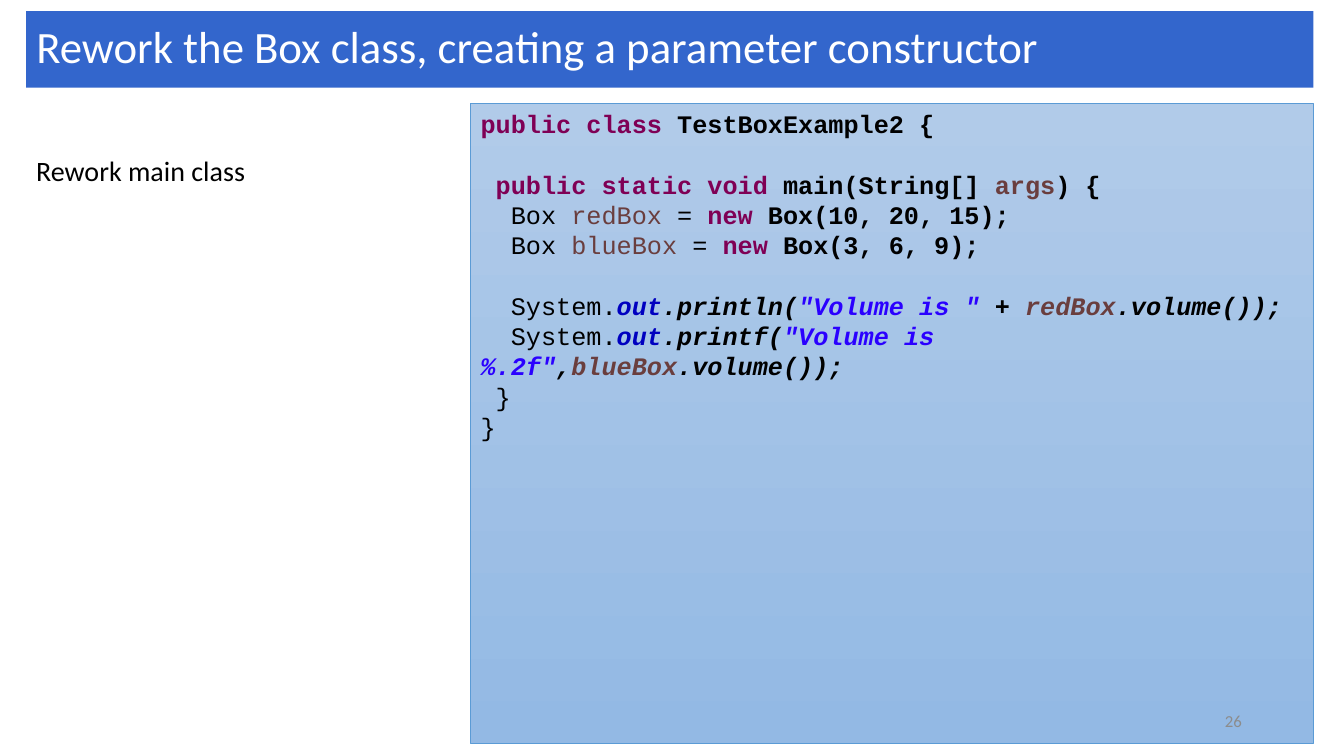
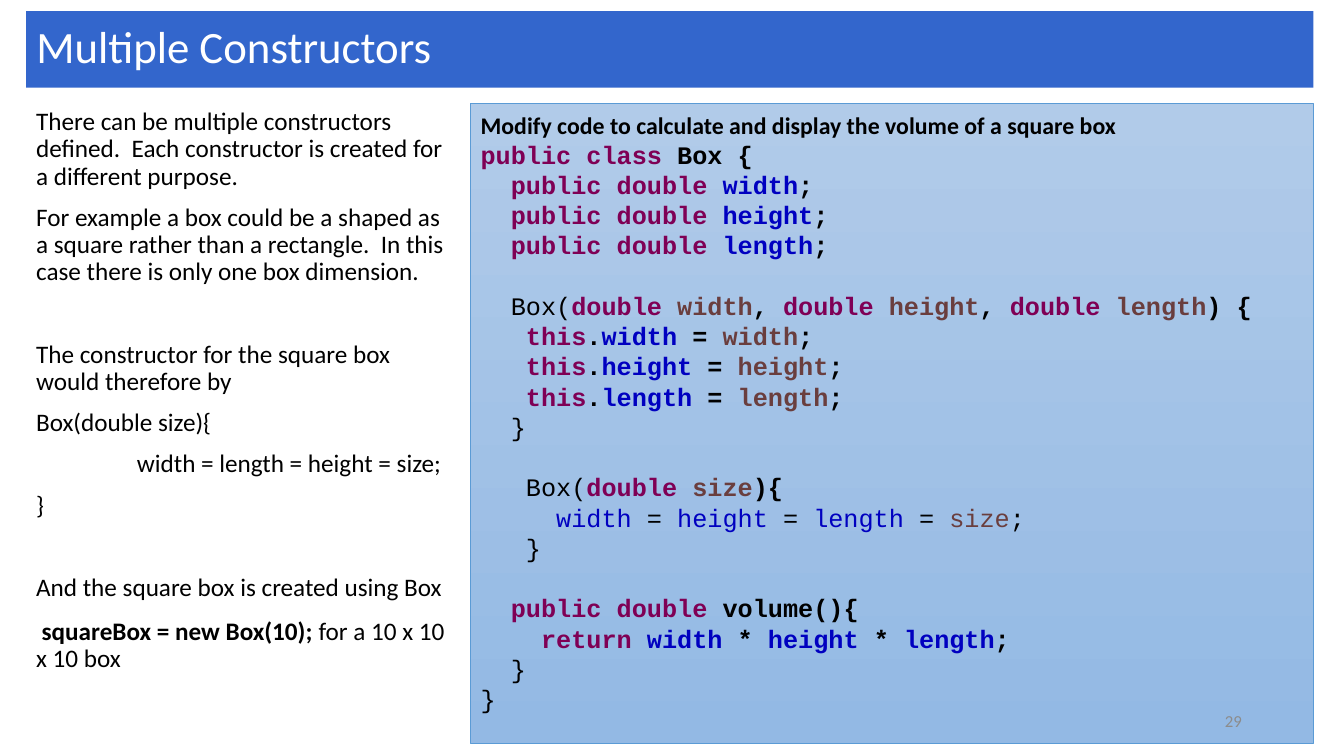
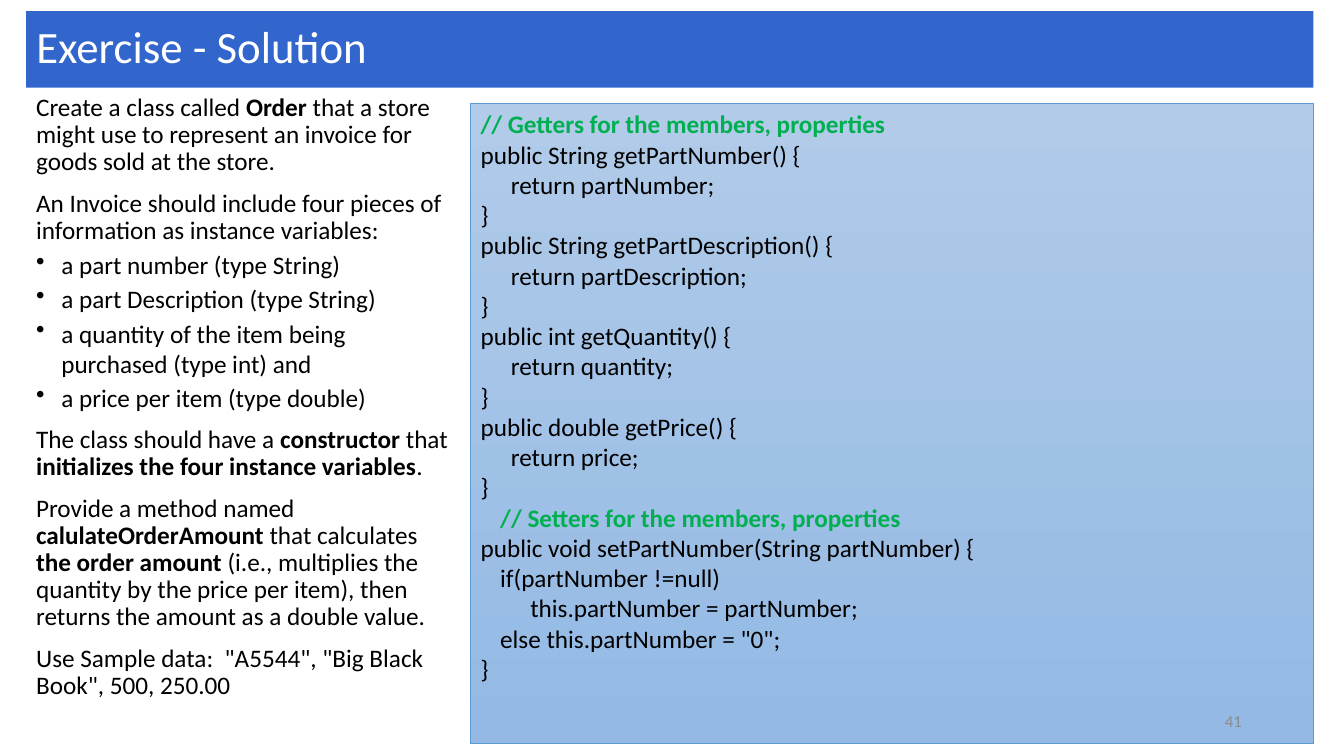
from pptx import Presentation
from pptx.dml.color import RGBColor
from pptx.enum.shapes import MSO_SHAPE
from pptx.enum.text import MSO_ANCHOR, MSO_AUTO_SIZE, PP_ALIGN
from pptx.oxml.ns import qn
from pptx.util import Pt

RECTANGLE = MSO_SHAPE.RECTANGLE
TOP, MIDDLE = MSO_ANCHOR.TOP, MSO_ANCHOR.MIDDLE
LEFT, RIGHT = PP_ALIGN.LEFT, PP_ALIGN.RIGHT
NO_AUTOFIT = MSO_AUTO_SIZE.NONE

WHITE = RGBColor(0xFF, 0xFF, 0xFF)
BLACK = RGBColor(0x00, 0x00, 0x00)
BAND_BLUE = RGBColor(0x33, 0x66, 0xCC)
PANEL_TOP = RGBColor(0xB1, 0xCB, 0xE9)
PANEL_BOTTOM = RGBColor(0x93, 0xB9, 0xE4)
PANEL_LINE = RGBColor(0x5B, 0x9B, 0xD5)
NUMBER_GREY = RGBColor(0x8C, 0x8C, 0x8C)
KEYWORD_PURPLE = RGBColor(0x7F, 0x00, 0x55)
FIELD_BLUE = RGBColor(0x00, 0x00, 0xC0)
VARIABLE_BROWN = RGBColor(0x6A, 0x3E, 0x3E)
STRING_BLUE = RGBColor(0x2A, 0x00, 0xFF)
COMMENT_GREEN = RGBColor(0x00, 0xB0, 0x50)

BODY_FONT = "Calibri"
CODE_FONT = "Courier New"
CODE_PITCH = 21.6

TITLE_BOX = (18.72, 7.92, 919.44, 54.72)
BODY_BOX = (18.72, 74.16, 310.32, 450)
PANEL_BOX = (336.24, 74.16, 601.92, 457.2)
NUMBER_BOX = (678.24, 500.4, 216, 28.8)

BOLD = {"bold": True}
KEYWORD = {"color": KEYWORD_PURPLE, "bold": True}
FIELD = {"color": FIELD_BLUE, "bold": True}
PLAIN_FIELD = {"color": FIELD_BLUE}
VARIABLE = {"color": VARIABLE_BROWN, "bold": True}
PLAIN_VARIABLE = {"color": VARIABLE_BROWN}
STRING = {"color": STRING_BLUE, "bold": True, "italic": True}
COMMENT = {"color": COMMENT_GREEN, "bold": True}
SLANTED = {"bold": True, "italic": True}
SLANTED_FIELD = {**FIELD, "italic": True}
SLANTED_VARIABLE = {**VARIABLE, "italic": True}

DIMENSIONS = ("width", "height", "length")
GETTERS = (
    ("String", "PartNumber", "partNumber"),
    ("String", "PartDescription", "partDescription"),
    ("int", "Quantity", "quantity"),
    ("double", "Price", "price"),
)


def line(*runs, **settings):
    return runs, settings


def place(shape, box):
    shape.left, shape.top, shape.width, shape.height = (Pt(value) for value in box)


def write_paragraph(paragraph, runs, font=BODY_FONT, size=18, color=BLACK, align=LEFT,
                    spacing=None, before=0, margin=0, first_indent=0, bullet=None):
    properties = paragraph._p.get_or_add_pPr()
    properties.set("marL", str(Pt(margin)))
    properties.set("indent", str(Pt(first_indent)))
    if bullet:
        properties.append(properties.makeelement(qn("a:buChar"), {"char": bullet}))
    paragraph.alignment = align
    paragraph.space_before = Pt(before)
    if spacing:
        paragraph.line_spacing = spacing
    for item in runs:
        text, style = (item, {}) if isinstance(item, str) else item
        run = paragraph.add_run()
        run.text = text
        run.font.name = font
        run.font.size = Pt(size)
        run.font.color.rgb = style.get("color", color)
        run.font.bold = style.get("bold", False)
        run.font.italic = style.get("italic", False)


def write_text(shape, lines, anchor=TOP, **defaults):
    frame = shape.text_frame
    frame.word_wrap = True
    frame.auto_size = NO_AUTOFIT
    frame.vertical_anchor = anchor
    for index, (runs, settings) in enumerate(lines):
        paragraph = frame.paragraphs[0] if index == 0 else frame.add_paragraph()
        merged = {**defaults, **settings}
        if index == 0:
            merged["before"] = 0
        write_paragraph(paragraph, runs, **merged)


def add_text_box(slide, box, lines, **defaults):
    shape = slide.shapes.add_textbox(*(Pt(value) for value in box))
    write_text(shape, lines, **defaults)


def add_title_band(slide, box, text):
    title = slide.shapes.title
    place(title, box)
    title.fill.solid()
    title.fill.fore_color.rgb = BAND_BLUE
    write_text(title, [line(text)], anchor=MIDDLE, size=32, color=WHITE, spacing=0.9)


def add_code_panel(slide, box, lines, **defaults):
    panel = slide.shapes.add_shape(RECTANGLE, *(Pt(value) for value in box))
    panel.shadow.inherit = False
    panel.fill.gradient()
    panel.fill.gradient_angle = 270
    for stop, color in zip(panel.fill.gradient_stops, (PANEL_TOP, PANEL_BOTTOM)):
        stop.color.rgb = color
    panel.line.color.rgb = PANEL_LINE
    panel.line.width = Pt(0.5)
    write_text(panel, lines, spacing=Pt(CODE_PITCH), **defaults)


def add_lesson_slide(presentation, title, number, body, code, body_box=BODY_BOX,
                     body_size=18, code_font=CODE_FONT):
    slide = presentation.slides.add_slide(presentation.slide_layouts[5])
    add_title_band(slide, TITLE_BOX, title)
    add_text_box(slide, body_box, body, size=body_size, spacing=0.9, before=10)
    add_code_panel(slide, PANEL_BOX, code, font=code_font)
    add_text_box(slide, NUMBER_BOX, [line(number)], anchor=MIDDLE, size=12,
                 color=NUMBER_GREY, align=RIGHT)


def add_main_class_slide(presentation):
    boxes = (("redBox", "10, 20, 15"), ("blueBox", "3, 6, 9"))
    code = [
        line(("public class", KEYWORD), (" TestBoxExample2 {", BOLD)),
        line((" public static void", KEYWORD), (" main(String[] ", BOLD),
             ("args", VARIABLE), (") {", BOLD), before=CODE_PITCH),
        *[line("  Box ", (name, PLAIN_VARIABLE), " = ", ("new", KEYWORD),
               (f" Box({sizes});", BOLD)) for name, sizes in boxes],
        line("  System.", ("out", SLANTED_FIELD), (".println(", SLANTED),
             ('"Volume is "', STRING), (" + ", SLANTED), ("redBox", SLANTED_VARIABLE),
             (".volume());", SLANTED), before=CODE_PITCH),
        line("  System.", ("out", SLANTED_FIELD), (".printf(", SLANTED),
             ('"Volume is %.2f"', STRING), (",", SLANTED),
             ("blueBox", SLANTED_VARIABLE), (".volume());", SLANTED)),
        line(" }"),
        line("}"),
    ]
    left, top, width, height = BODY_BOX
    offset = 34.8
    add_lesson_slide(presentation, "Rework the Box class, creating a parameter constructor",
                     "26", [line("Rework main class")], code, body_size=20,
                     body_box=(left, top + offset, width, height - offset))


def add_constructors_slide(presentation):
    section_gap = 39.5
    body = [
        line("There can be multiple constructors defined.  Each constructor is created "
             "for a different purpose."),
        line("For example a box could be a shaped as a square rather than a rectangle.  "
             "In this case there is only one box dimension."),
        line("The constructor for the square box would therefore by", before=section_gap),
        line("Box(double size){"),
        line("width = length = height = size;", margin=72),
        line("}"),
        line("And the square box is created using Box", before=section_gap),
        line(("squareBox = new Box(10); ", BOLD), "for a 10 x 10 x 10 box",
             before=12, first_indent=4),
    ]
    parameters = []
    for name in DIMENSIONS:
        parameters += [("double ", KEYWORD), (name, VARIABLE), (", ", BOLD)]
    code = [
        line(("Modify code to calculate and display the volume of a square box", BOLD),
             font=BODY_FONT, size=17),
        line(("public class", KEYWORD), (" Box {", BOLD)),
        *[line(("  public double ", KEYWORD), (name, FIELD), (";", BOLD))
          for name in DIMENSIONS],
        line("  Box(", *parameters[:-1], (") {", BOLD), before=CODE_PITCH),
        *[line(("   this", KEYWORD), (".", BOLD), (name, FIELD), (" = ", BOLD),
               (name, VARIABLE), (";", BOLD)) for name in DIMENSIONS],
        line("  }"),
        line("   Box(", ("double ", KEYWORD), ("size", VARIABLE), ("){", BOLD),
             before=CODE_PITCH),
        line("     ", ("width", PLAIN_FIELD), " = ", ("height", PLAIN_FIELD), " = ",
             ("length", PLAIN_FIELD), " = ", ("size", PLAIN_VARIABLE), ";"),
        line("   }"),
        line(("  public double", KEYWORD), (" volume(){", BOLD), before=CODE_PITCH),
        line(("    return ", KEYWORD), ("width", FIELD), (" * ", BOLD), ("height", FIELD),
             (" * ", BOLD), ("length", FIELD), (";", BOLD)),
        line("  }"),
        line("}"),
    ]
    add_lesson_slide(presentation, "Multiple Constructors", "29", body, code)


def add_solution_slide(presentation):
    members = (
        "a part number (type String)",
        "a part Description (type String)",
        "a quantity of the item being purchased (type int) and",
        "a price per item (type double)",
    )
    body = [
        line("Create a class called ", ("Order ", BOLD),
             "that a store might use to represent an invoice for goods sold at the store."),
        line("An Invoice should include four pieces of information as instance variables:"),
        *[line(member, bullet="•", margin=18, first_indent=-18, before=3, spacing=1.0)
          for member in members],
        line("The class should have a ", ("constructor", BOLD), " that ",
             ("initializes the four instance variables", BOLD), "."),
        line("Provide a method named ", ("calulateOrderAmount ", BOLD), "that calculates ",
             ("the order amount", BOLD),
             " (i.e., multiplies the quantity by the price per item), then returns the "
             "amount as a double value."),
        line('Use Sample data:  "A5544", "Big Black Book", 500, 250.00'),
    ]
    code = [line(("// Getters for the members, properties", COMMENT))]
    for kind, name, member in GETTERS:
        code += [line(f"public {kind} get{name}() {{"),
                 line(f"return {member};", margin=21.6),
                 line("}")]
    code += [
        line(("// Setters for the members, properties", COMMENT), margin=14),
        line("public void setPartNumber(String partNumber) {"),
        line("if(partNumber !=null)", margin=14),
        line("this.partNumber = partNumber;", margin=35.5),
        line('else this.partNumber = "0";', margin=14),
        line("}"),
    ]
    add_lesson_slide(presentation, "Exercise - Solution", "41", body, code,
                     body_box=(18.72, 64.08, 310.32, 467.28), code_font=BODY_FONT)


def main():
    presentation = Presentation()
    presentation.slide_width = Pt(960)
    presentation.slide_height = Pt(540)
    add_main_class_slide(presentation)
    add_constructors_slide(presentation)
    add_solution_slide(presentation)
    presentation.save("out.pptx")


if __name__ == "__main__":
    main()
